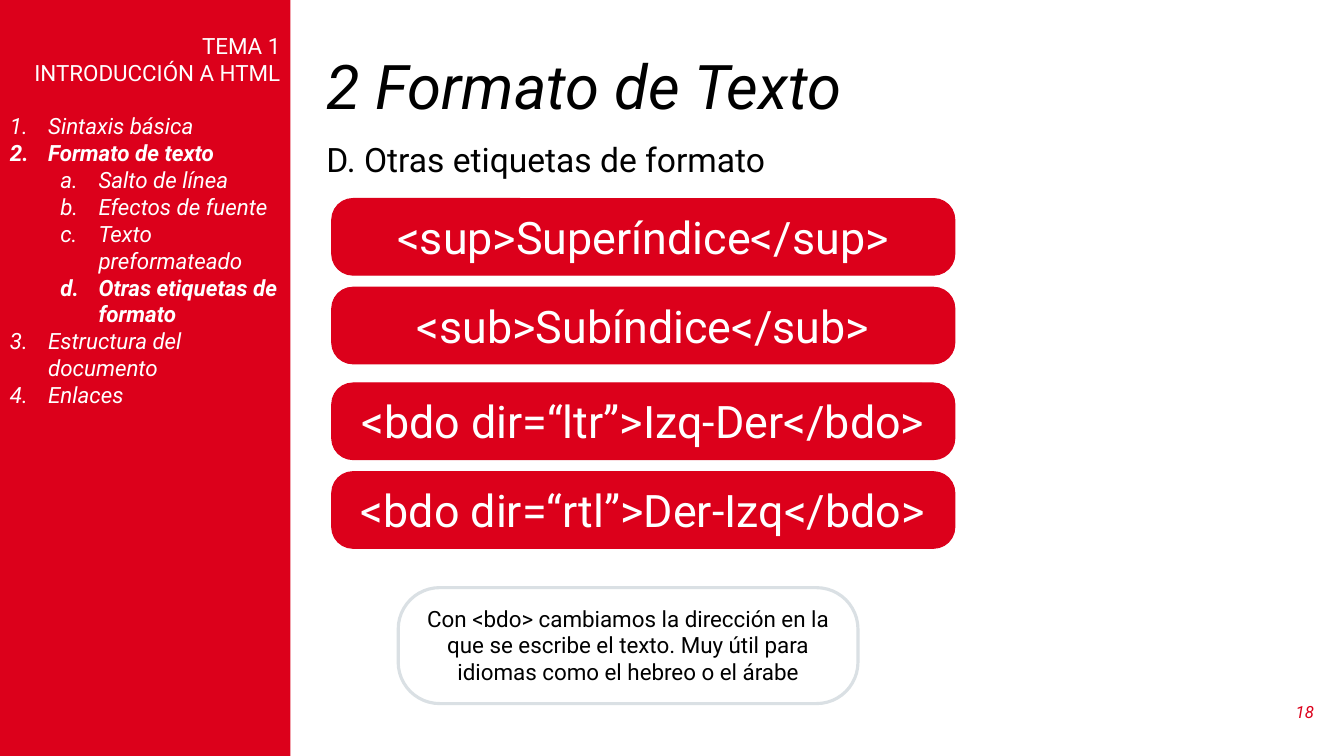
from pptx import Presentation
from pptx.dml.color import RGBColor
from pptx.enum.shapes import MSO_SHAPE
from pptx.enum.text import MSO_ANCHOR, PP_ALIGN
from pptx.oxml.ns import qn
from pptx.util import Inches, Pt
from lxml import etree

FONT = "Roboto"
RED, WHITE, BLACK, GREY = "DC001B", "FFFFFF", "000000", "DAE0E4"

# Level, text, bold
INDEX = [
    (0, "Sintaxis básica", False),
    (0, "Formato de texto", True),
    (1, "Salto de línea", False),
    (1, "Efectos de fuente", False),
    (1, "Texto preformateado", False),
    (1, "Otras etiquetas de formato", True),
    (0, "Estructura del documento", False),
    (0, "Enlaces", False),
]
TAG_PAIRS = [
    ("<sup>Superíndice</sup>", "<sub>Subíndice</sub>"),
    ("<bdo dir=“ltr”>Izq-Der</bdo>", "<bdo dir=“rtl”>Der-Izq</bdo>"),
]
NOTE = ("Con <bdo> cambiamos la dirección en la que se escribe el texto. "
        "Muy útil para idiomas como el hebreo o el árabe")


def rgb(color):
    return RGBColor.from_string(color)


def add_run(p, text, size, color, bold=False, italic=False):
    r = p.add_run()
    r.text = text
    r.font.name, r.font.size = FONT, Pt(size)
    r.font.bold, r.font.italic = bold, italic
    r.font.color.rgb = rgb(color)


def add_box(s, box, kind, fill=None, line=None, width=0.75, radius=None):
    sp = s.shapes.add_shape(kind, *map(Inches, box))
    sp.shadow.inherit = False
    if radius is not None:
        sp.adjustments[0] = radius
    if fill:
        sp.fill.solid()
        sp.fill.fore_color.rgb = rgb(fill)
    else:
        sp.fill.background()
    if line:
        sp.line.color.rgb = rgb(line)
        sp.line.width = Pt(width)
    else:
        sp.line.fill.background()
    sp.text_frame.word_wrap = True
    sp.text_frame.vertical_anchor = MSO_ANCHOR.TOP
    return sp


def add_label(s, box, text, size, color, anchor=MSO_ANCHOR.TOP,
              align=PP_ALIGN.LEFT, italic=False):
    tf = s.shapes.add_textbox(*map(Inches, box)).text_frame
    tf.word_wrap = True
    tf.vertical_anchor = anchor
    p = tf.paragraphs[0]
    p.alignment = align
    add_run(p, text, size, color, italic=italic)
    return p


def number_item(p, level):
    p.level = level
    pPr = p._p.get_or_add_pPr()
    pPr.set("marL", str(Inches(0.38 + 0.5 * level)))
    pPr.set("indent", str(Inches(-0.38)))
    etree.SubElement(pPr, qn("a:buFont"), typeface="+mj-lt")
    scheme = ("arabicPeriod", "alphaLcPeriod")[level]
    etree.SubElement(pPr, qn("a:buAutoNum"), type=scheme)


def add_sidebar(s, box):
    tf = add_box(s, box, MSO_SHAPE.RECTANGLE, RED).text_frame
    tf.margin_top = Inches(0.32)
    # Unit heading
    for i, text in enumerate(("TEMA 1", "INTRODUCCIÓN A HTML")):
        p = tf.add_paragraph() if i else tf.paragraphs[0]
        p.alignment = PP_ALIGN.RIGHT
        add_run(p, text, 16, WHITE)
    # Numbered index
    for i, (level, text, bold) in enumerate(INDEX):
        p = tf.add_paragraph()
        p.alignment = PP_ALIGN.LEFT
        if i == 0:
            p.space_before = Pt(19)
        number_item(p, level)
        add_run(p, text, 16, WHITE, bold, italic=True)


def add_heading(s, box):
    left, top, width, height = box
    p = add_label(s, box, "2 Formato de Texto", 44, BLACK,
                  MSO_ANCHOR.MIDDLE, italic=True)
    p.line_spacing = 0.9
    add_label(s, (left, top + 0.83, 7.46, 0.5),
              "D. Otras etiquetas de formato", 24, BLACK)


def add_rounded(s, box, text, size, color, **style):
    sp = add_box(s, box, MSO_SHAPE.ROUNDED_RECTANGLE, **style)
    p = sp.text_frame.paragraphs[0]
    p.alignment = PP_ALIGN.CENTER
    add_run(p, text, size, color)


def add_tags(s, box):
    left, top, width, height = box
    pair_step, tag_step = 1.83, 0.88
    for i, pair in enumerate(TAG_PAIRS):
        for j, tag in enumerate(pair):
            y = top + i * pair_step + j * tag_step
            add_rounded(s, (left, y, width, 0.76), tag, 32, WHITE,
                        fill=RED, line=RED, radius=0.277)
    # Explanation below the tags
    add_rounded(s, (left + 0.66, top + height - 1.15, 4.56, 1.15), NOTE, 16,
                BLACK, line=GREY, width=2.25, radius=0.357)


def main():
    prs = Presentation()
    prs.slide_width, prs.slide_height = Inches(13.33), Inches(7.5)
    s = prs.slides.add_slide(prs.slide_layouts[6])
    add_heading(s, (3.14, 0.5, 9.99, 0.78))
    add_sidebar(s, (0, 0, 2.88, 7.5))
    add_tags(s, (3.29, 1.97, 6.18, 5.01))
    # Slide number
    add_label(s, (12.62, 6.86, 0.51, 0.4), "18", 12, RED,
              MSO_ANCHOR.MIDDLE, PP_ALIGN.RIGHT, italic=True)
    prs.save("out.pptx")


if __name__ == "__main__":
    main()
